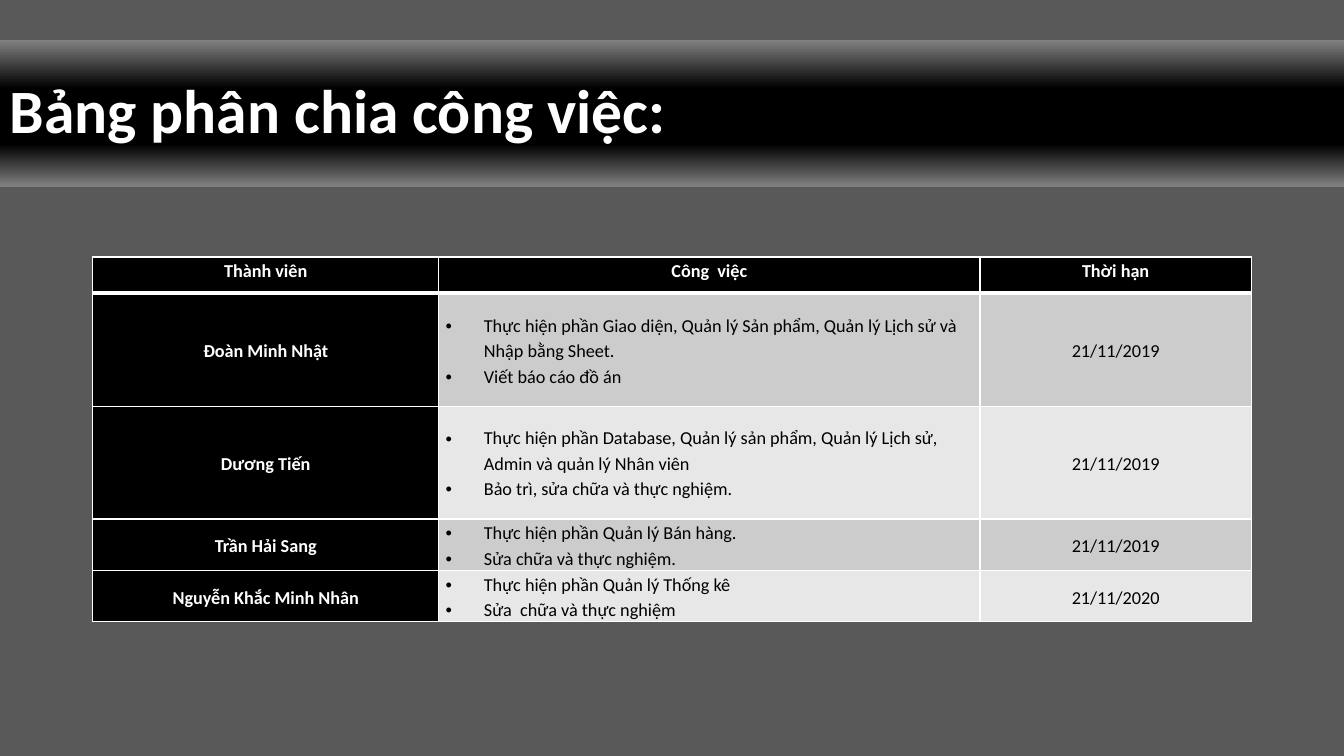
import pptx
import pptx.dml.color
import pptx.enum.shapes
import pptx.enum.text
import pptx.oxml
import pptx.oxml.ns
import pptx.util
import lxml.etree

Inches = pptx.util.Inches
Pt = pptx.util.Pt
RGBColor = pptx.dml.color.RGBColor
ALIGN = pptx.enum.text.PP_ALIGN
ANCHOR = pptx.enum.text.MSO_ANCHOR

WHITE = RGBColor(0xFF, 0xFF, 0xFF)
BLACK = RGBColor(0x00, 0x00, 0x00)
GRAY = RGBColor(0x80, 0x80, 0x80)
BACKGROUND = RGBColor(0x59, 0x59, 0x59)
ROW_BANDS = (RGBColor(0xCC, 0xCC, 0xCC), RGBColor(0xE7, 0xE7, 0xE7))
FONT = "Calibri"

TITLE = "Bảng phân chia công việc:"
TITLE_STOPS = ((0, GRAY), (33, BLACK), (71, BLACK), (100, GRAY))
HEADERS = ("Thành viên", "Công  việc", "Thời hạn")
ASSIGNMENTS = (
    ("Đoàn Minh Nhật",
     "Thực hiện phần Giao diện, Quản lý Sản phẩm, Quản lý Lịch sử và Nhập bằng Sheet.\n"
     "Viết báo cáo đồ án", "21/11/2019"),
    ("Dương Tiến",
     "Thực hiện phần Database, Quản lý sản phẩm, Quản lý Lịch sử, Admin và quản lý Nhân viên\n"
     "Bảo trì, sửa chữa và thực nghiệm.", "21/11/2019"),
    ("Trần Hải Sang",
     "Thực hiện phần Quản lý Bán hàng.\nSửa chữa và thực nghiệm.", "21/11/2019"),
    ("Nguyễn Khắc Minh Nhân",
     "Thực hiện phần Quản lý Thống kê\nSửa  chữa và thực nghiệm", "21/11/2020"),
)
COLUMN_WIDTHS = (3.43, 5.37, 2.69)
ROW_HEIGHTS = (0.36, 1.12, 1.12, 0.51, 0.51)
TASK_COLUMN = 1


def add_element(parent, tag, **attributes):
    """Append a drawing element to the parent and return it."""
    return lxml.etree.SubElement(parent, pptx.oxml.ns.qn(tag), attributes)


def format_paragraph(paragraph, size, color, bold, spacing, alignment):
    """Set the spacing, alignment and font of a paragraph."""
    paragraph.line_spacing = spacing
    paragraph.alignment = alignment
    for run in paragraph.runs:
        run.font.name = FONT
        run.font.size = Pt(size)
        run.font.bold = bold
        run.font.color.rgb = color


def add_bullet(paragraph):
    """Give a paragraph a round bullet with a hanging indent."""
    properties = paragraph._p.get_or_add_pPr()
    indent = Inches(0.38)
    properties.set("marL", str(indent))
    properties.set("indent", str(-indent))
    add_element(properties, "a:buFont", typeface="Arial")
    add_element(properties, "a:buChar", char="•")


def add_borders(cell, top, bottom):
    """Draw white cell borders with the given top and bottom widths."""
    properties = cell._tc.get_or_add_tcPr()
    for side, width in (("L", 1), ("R", 1), ("T", top), ("B", bottom)):
        line = add_element(properties, f"a:ln{side}", w=str(Pt(width)))
        fill = add_element(line, "a:solidFill")
        add_element(fill, "a:srgbClr", val=str(WHITE))


def add_title_band(slide, left, top, width, height):
    """Add the full-width gradient band that holds the title."""
    band = slide.shapes.add_shape(
        pptx.enum.shapes.MSO_SHAPE.RECTANGLE, left, top, width, height)
    band.shadow.inherit = False
    band.line.fill.background()
    band.fill.gradient()
    band.fill.gradient_angle = 270
    stops = band._element.spPr.find(".//" + pptx.oxml.ns.qn("a:gsLst"))
    for stop in list(stops):
        stops.remove(stop)
    for percent, color in TITLE_STOPS:
        stop = add_element(stops, "a:gs", pos=str(percent * 1000))
        add_element(stop, "a:srgbClr", val=str(color))
    frame = band.text_frame
    frame.text = TITLE
    frame.word_wrap = True
    frame.vertical_anchor = ANCHOR.MIDDLE
    format_paragraph(frame.paragraphs[0], 44, WHITE, True, 0.9, ALIGN.LEFT)


def fill_cell(cell, text, row, column):
    """Write and style one table cell according to its row and column."""
    is_header = row == 0
    is_dark = is_header or column == 0
    is_task = column == TASK_COLUMN and not is_header
    add_borders(cell, 3 if row == 1 else 1, 3 if is_header else 1)
    cell.fill.solid()
    cell.fill.fore_color.rgb = BLACK if is_dark else ROW_BANDS[(row - 1) % 2]
    cell.margin_left = cell.margin_right = Inches(0.07)
    cell.margin_top = cell.margin_bottom = 0
    cell.vertical_anchor = ANCHOR.TOP if is_header else ANCHOR.MIDDLE
    cell.text_frame.text = text
    for paragraph in cell.text_frame.paragraphs:
        format_paragraph(paragraph, 13, WHITE if is_dark else BLACK, is_dark, 1.15,
                         ALIGN.LEFT if is_task else ALIGN.CENTER)
        if is_task:
            add_bullet(paragraph)


def add_assignment_table(slide, left, top):
    """Add the table of members, tasks and deadlines."""
    rows = (HEADERS,) + ASSIGNMENTS
    table = slide.shapes.add_table(
        len(rows), len(HEADERS), left, top,
        Inches(sum(COLUMN_WIDTHS)), Inches(sum(ROW_HEIGHTS))).table
    for column, width in zip(table.columns, COLUMN_WIDTHS):
        column.width = Inches(width)
    for row, height in zip(table.rows, ROW_HEIGHTS):
        row.height = Inches(height)
    for row, texts in enumerate(rows):
        for column, text in enumerate(texts):
            fill_cell(table.cell(row, column), text, row, column)


def main():
    """Build and save the slide."""
    presentation = pptx.Presentation()
    presentation.slide_width = Inches(13.33)
    presentation.slide_height = Inches(7.5)
    slide = presentation.slides.add_slide(presentation.slide_layouts[6])
    slide.background.fill.solid()
    slide.background.fill.fore_color.rgb = BACKGROUND
    add_title_band(slide, 0, Inches(0.4), presentation.slide_width, Inches(1.45))
    add_assignment_table(slide, Inches(0.92), Inches(2.55))
    presentation.save("out.pptx")


if __name__ == "__main__":
    main()
